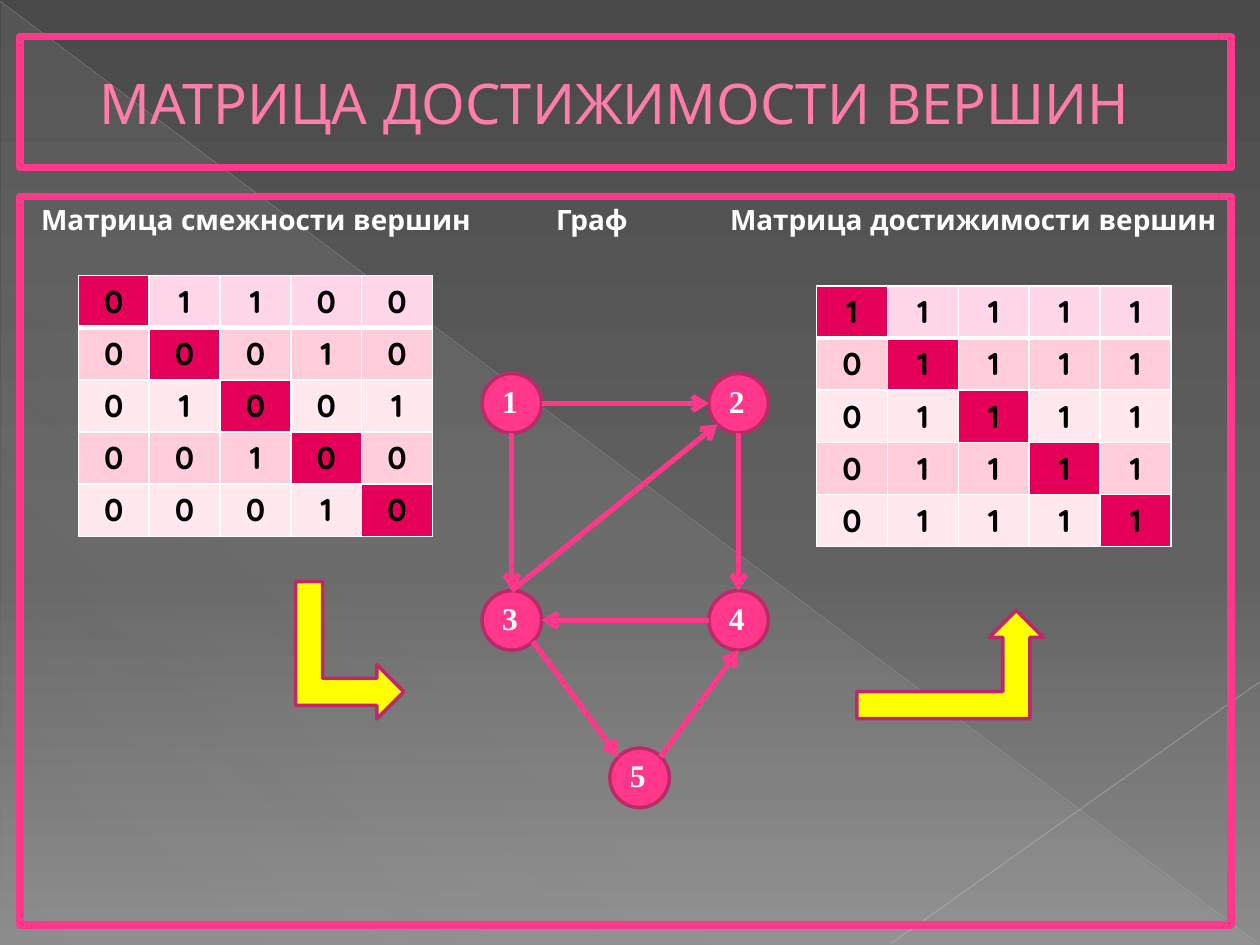
"""Build a slide on the reachability matrix of a directed graph."""
from math import cos, radians, sin
from typing import NamedTuple, Optional

from lxml.etree import SubElement
from pptx import Presentation
from pptx.dml.color import RGBColor
from pptx.enum.shapes import MSO_CONNECTOR as Connector, MSO_SHAPE as Preset
from pptx.enum.text import MSO_ANCHOR as Anchor, PP_ALIGN as Align
from pptx.oxml.ns import qn
from pptx.util import Pt

PINK, DARK_PINK, DIAGONAL = "FF388C", "BD2968", "E40059"
WHITE, BLACK, YELLOW = "FFFFFF", "000000", "FFFF00"
HEADER_ROW, ODD_ROW, EVEN_ROW = "FFD7E8", "FFCEDA", "FFE8EE"
NODE_SIZE = 34
CELL_WIDTH, CELL_HEIGHT = 40.5, 29.2
HEADING_TABS = (294.3, 393.7)
TITLE_FONT = {"size": Pt(32), "name": "Quicksand", "bold": False}
HEADING_FONT = {"size": Pt(16), "name": "Quicksand", "bold": True}
CELL_FONT = {"size": Pt(18), "name": "Quicksand", "bold": True}
NODE_FONT = {"size": Pt(18), "name": "Times New Roman", "bold": True}


class Box(NamedTuple):
    left: float
    top: float
    width: float
    height: float


class Block(NamedTuple):
    preset: Preset
    box: Box
    fill: Optional[str] = None
    line: Optional[str] = None
    line_width: float = 2
    rotation: float = 0


class Node(NamedTuple):
    label: str
    x: float
    y: float


class Edge(NamedTuple):
    start: str
    start_site: int
    end: str
    end_site: int


class Ray(NamedTuple):
    start: tuple
    end: tuple
    color: str
    width: float
    opacity: int


class Matrix(NamedTuple):
    left: float
    top: float
    rows: tuple


RAYS = (
    Ray((0, 0.7), (719.3, 539.3), "BFBFBF", 0.39, 35),
    Ray((720, 389.5), (509, 539.3), "C6C6C6", 0.47, 45),
)
MATRICES = (
    Matrix(44.8, 157.5, ("01100", "00010", "01001", "00100", "00010")),
    Matrix(466.7, 163.4, ("11111", "01111", "01111", "01111", "01111")),
)
NODES = (
    Node("1", 292.5, 230.5),
    Node("2", 422, 230.5),
    Node("3", 292.5, 354.5),
    Node("4", 422, 354.5),
    Node("5", 365.5, 444.5),
)
EDGES = (
    Edge("1", 6, "2", 2),
    Edge("2", 4, "4", 0),
    Edge("4", 2, "3", 6),
    Edge("3", 5, "5", 1),
    Edge("3", 0, "2", 3),
    Edge("5", 7, "4", 4),
    Edge("1", 4, "3", 0),
)
STEP_ARROWS = (
    Block(Preset.BENT_UP_ARROW, Box(160.6, 340.6, 78.5, 61.9), YELLOW, DARK_PINK, rotation=90),
    Block(Preset.BENT_UP_ARROW, Box(489.6, 348.8, 106.6, 61.9), YELLOW, DARK_PINK),
)


def rgb(color: str) -> RGBColor:
    return RGBColor.from_string(color)


def apply(target, values: dict) -> None:
    for name, value in values.items():
        setattr(target, name, value)


def add_color(parent, color: str, opacity: int = 100) -> None:
    element = SubElement(parent, qn("a:srgbClr"), val=color)
    if opacity < 100:
        SubElement(element, qn("a:alpha"), val=str(opacity * 1000))


def set_gradient(owner, fill, stops: tuple, angle: int) -> None:
    fill.gradient()
    gradient = next(owner.element.iter(qn("a:gradFill")))
    for child in list(gradient):
        gradient.remove(child)
    stop_list = SubElement(gradient, qn("a:gsLst"))
    for position, color, opacity in stops:
        add_color(SubElement(stop_list, qn("a:gs"), pos=str(position * 1000)), color, opacity)
    SubElement(gradient, qn("a:lin"), ang=str(angle * 60000), scaled="0")


def add_block(slide, block: Block):
    shape = slide.shapes.add_shape(block.preset, *map(Pt, block.box))
    apply(shape, {"rotation": block.rotation})
    shape.shadow.inherit = False
    for target, color in ((shape.fill, block.fill), (shape.line.fill, block.line)):
        if color:
            target.solid()
            target.fore_color.rgb = rgb(color)
        else:
            target.background()
    if block.line:
        shape.line.width = Pt(block.line_width)
    return shape


def write(frame, text: str, font: dict, color: str, align=Align.LEFT):
    paragraph = frame.paragraphs[0]
    paragraph.alignment = align
    run = paragraph.add_run()
    run.text = text
    apply(run.font, font)
    run.font.color.rgb = rgb(color)
    return paragraph


def add_line(slide, start: tuple, end: tuple, color: str, width: float):
    connector = slide.shapes.add_connector(Connector.STRAIGHT, *map(Pt, start + end))
    connector.line.color.rgb = rgb(color)
    connector.line.width = Pt(width)
    SubElement(connector.element.spPr, qn("a:effectLst"))
    return connector


def add_ray(slide, ray: Ray) -> None:
    connector = add_line(slide, ray.start, ray.end, ray.color, ray.width)
    color = next(connector.element.iter(qn("a:srgbClr")))
    SubElement(color, qn("a:alpha"), val=str(ray.opacity * 1000))


def add_panel(slide, box: Box, margin_left: float, anchor: Anchor):
    frame = add_block(slide, Block(Preset.RECTANGLE, box, line=PINK, line_width=4.5)).text_frame
    apply(frame, {"word_wrap": True, "vertical_anchor": anchor,
                  "margin_left": Pt(margin_left), "margin_right": 0})
    return frame


def add_matrix(slide, matrix: Matrix) -> None:
    size = len(matrix.rows)
    box = Box(matrix.left, matrix.top, size * CELL_WIDTH, size * CELL_HEIGHT)
    table = slide.shapes.add_table(size, size, *map(Pt, box)).table
    for i, row in enumerate(matrix.rows):
        row_color = (ODD_ROW if i % 2 else EVEN_ROW) if i else HEADER_ROW
        for j, digit in enumerate(row):
            cell = table.cell(i, j)
            properties = cell._tc.get_or_add_tcPr()
            widths = {"L": 1, "R": 1, "T": 3 if i == 1 else 1, "B": 1 if i else 3}
            for side, width in widths.items():
                border = SubElement(properties, qn(f"a:ln{side}"), w=str(Pt(width)))
                add_color(SubElement(border, qn("a:solidFill")), WHITE)
            cell.fill.solid()
            cell.fill.fore_color.rgb = rgb(DIAGONAL if i == j else row_color)
            write(cell.text_frame, digit, CELL_FONT, BLACK, Align.CENTER)


def add_node(slide, node: Node):
    half = NODE_SIZE / 2
    box = Box(node.x - half, node.y - half, NODE_SIZE, NODE_SIZE)
    shape = add_block(slide, Block(Preset.OVAL, box, PINK, DARK_PINK))
    apply(shape.text_frame, {"margin_left": 0, "margin_right": Pt(2), "margin_top": 0,
                             "margin_bottom": Pt(3), "vertical_anchor": Anchor.MIDDLE,
                             "word_wrap": False})
    write(shape.text_frame, node.label, NODE_FONT, WHITE, Align.CENTER)
    return shape


def site_point(node: Node, site: int) -> tuple:
    angle = radians(45 * site)
    return node.x - NODE_SIZE / 2 * sin(angle), node.y - NODE_SIZE / 2 * cos(angle)


def add_edge(slide, edge: Edge, nodes: dict, ovals: dict) -> None:
    start = site_point(nodes[edge.start], edge.start_site)
    end = site_point(nodes[edge.end], edge.end_site)
    connector = add_line(slide, start, end, PINK, 3)
    SubElement(connector.line._get_or_add_ln(), qn("a:tailEnd"), type="arrow")
    links = connector.element.nvCxnSpPr.cNvCxnSpPr
    for tag, label, site in (("a:stCxn", edge.start, edge.start_site),
                             ("a:endCxn", edge.end, edge.end_site)):
        SubElement(links, qn(tag), id=str(ovals[label].shape_id), idx=str(site))


def main() -> None:
    presentation = Presentation()
    apply(presentation, {"slide_width": Pt(720), "slide_height": Pt(540)})
    slide = presentation.slides.add_slide(presentation.slide_layouts[6])
    set_gradient(slide, slide.background.fill,
                 ((0, "4A4A4A", 100), (60, "626262", 100), (100, "8C8C8C", 100)), 90)
    triangle = add_block(slide, Block(Preset.RIGHT_TRIANGLE, Box(0.7, 1.4, 718.6, 538.6)))
    set_gradient(triangle, triangle.fill,
                 ((0, "D2D2D2", 10), (70, "D2D2D2", 8), (100, "D2D2D2", 1)), 133)
    for ray in RAYS:
        add_ray(slide, ray)
    title = add_panel(slide, Box(11.5, 20.9, 691.9, 74.9), 45.4, Anchor.MIDDLE)
    write(title, "МАТРИЦА ДОСТИЖИМОСТИ ВЕРШИН", TITLE_FONT, "FF7DA7")
    body = add_panel(slide, Box(11.5, 112.3, 691.9, 416.2), 12, Anchor.TOP)
    headings = write(body, "Матрица смежности вершин\tГраф\tМатрица достижимости вершин",
                     HEADING_FONT, WHITE)
    tabs = SubElement(headings._p.get_or_add_pPr(), qn("a:tabLst"))
    for position in HEADING_TABS:
        SubElement(tabs, qn("a:tab"), pos=str(Pt(position)), algn="l")
    for matrix in MATRICES:
        add_matrix(slide, matrix)
    nodes = {node.label: node for node in NODES}
    ovals = {node.label: add_node(slide, node) for node in NODES}
    for edge in EDGES:
        add_edge(slide, edge, nodes, ovals)
    for arrow in STEP_ARROWS:
        add_block(slide, arrow)
    presentation.save("out.pptx")


if __name__ == "__main__":
    main()
